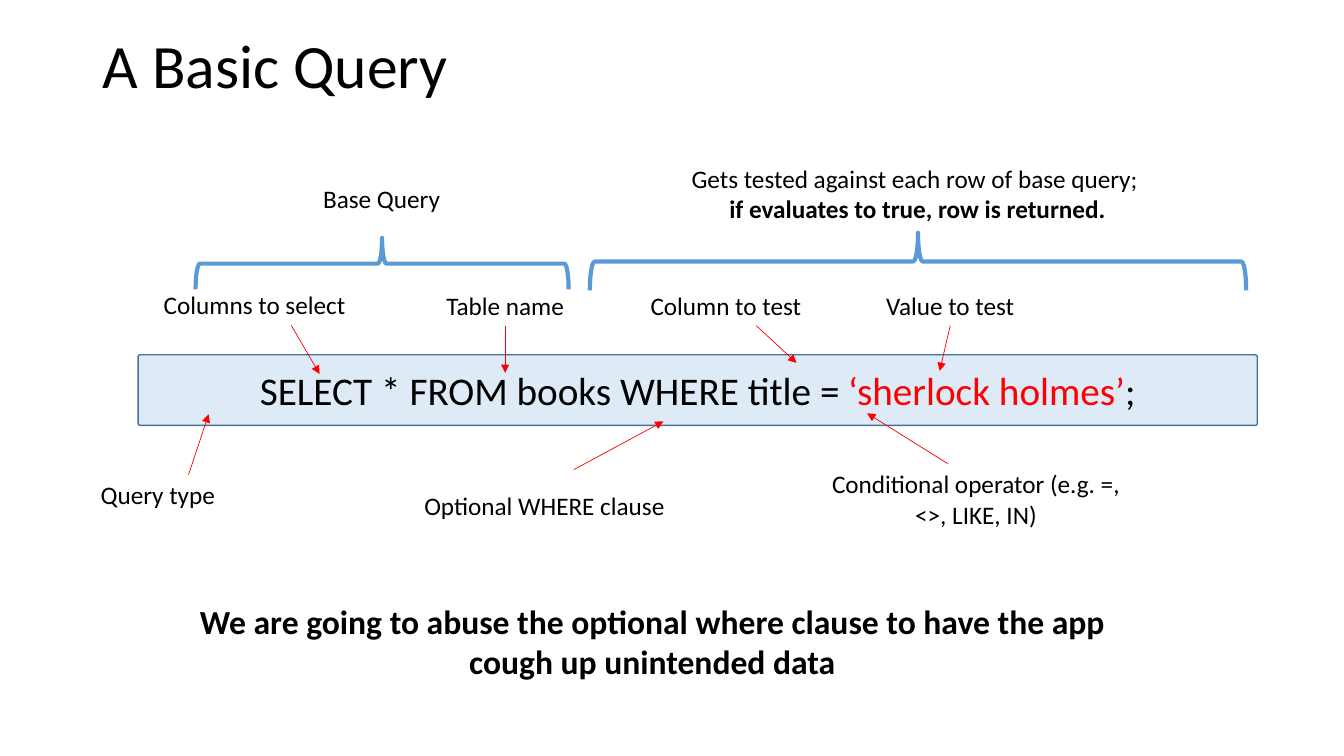
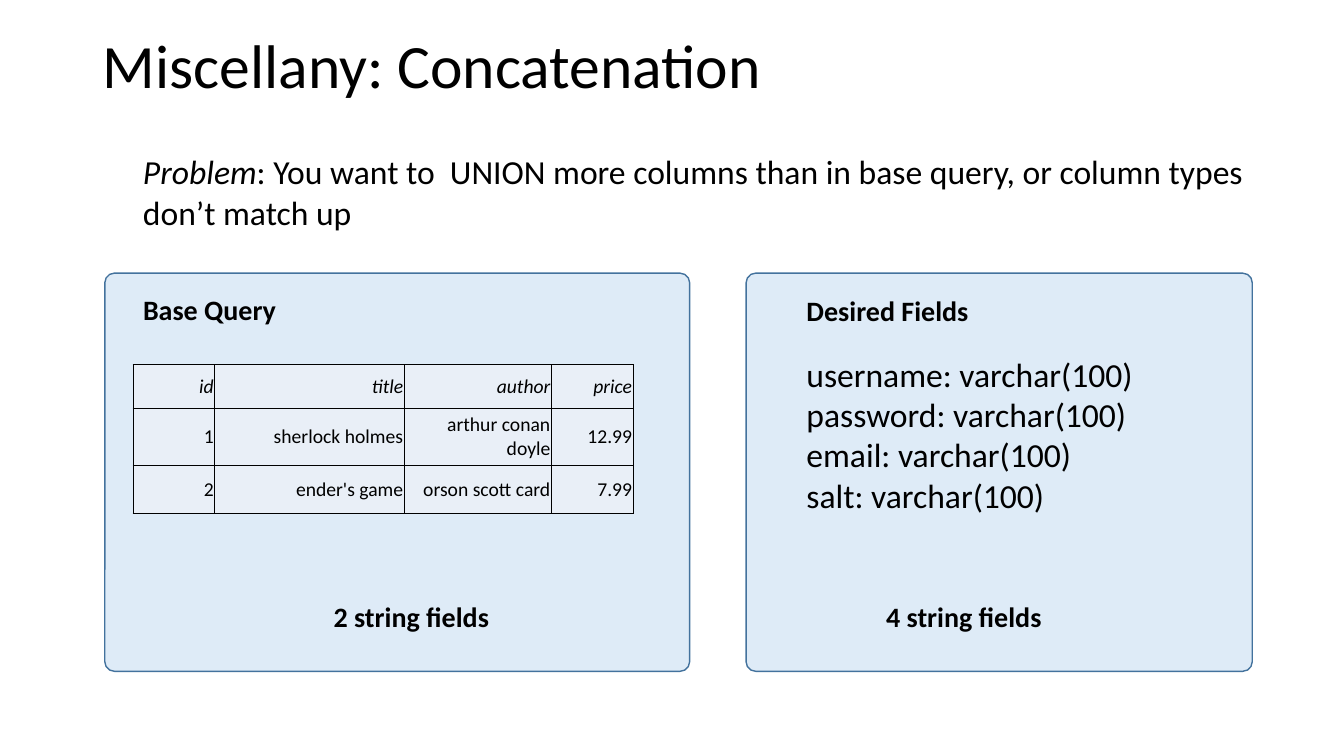
from lxml.etree import SubElement
from pptx import Presentation
from pptx.dml.color import RGBColor
from pptx.enum.shapes import MSO_CONNECTOR, MSO_SHAPE
from pptx.enum.text import MSO_ANCHOR as Anchor, MSO_AUTO_SIZE as AutoSize, PP_ALIGN as Align
from pptx.oxml.ns import qn
from pptx.util import Inches, Pt

FONT = "Calibri"
COLORS = {
    "text": "000000",
    "accent": "FF0000",
    "brace": "5B9BD5",
    "panel": "DEEBF7",
    "outline": "43729D",
    "cell": "E9EFF7",
}


def color(name):
    """Return the named colour."""
    return RGBColor.from_string(COLORS[name])


def style_span(span, size, bold=False, italic=False, ink="text"):
    """Format one run."""
    span.font.name, span.font.size = FONT, Pt(size)
    span.font.bold, span.font.italic = bold, italic
    span.font.color.rgb = color(ink)


def write(frame, text, size, align=Align.LEFT, **look):
    """Fill a text frame with evenly formatted paragraphs."""
    frame.text = text
    frame.word_wrap = True
    for para in frame.paragraphs:
        para.alignment = align
        for span in para.runs:
            style_span(span, size, **look)


def add_span(para, text, size, **look):
    """Append a differently formatted run to a paragraph."""
    span = para.add_run()
    span.text = text
    style_span(span, size, **look)


def add_text(page, place, text, size, align=Align.CENTER, **look):
    """Add a text box that fits its text."""
    box = page.shapes.add_textbox(*map(Inches, place))
    write(box.text_frame, text, size, align, **look)
    box.text_frame.auto_size = AutoSize.SHAPE_TO_FIT_TEXT
    return box


def add_page(deck, title):
    """Add a title-only slide with the shared title style."""
    page = deck.slides.add_slide(deck.slide_layouts[5])
    heading = page.shapes.title
    heading.left, heading.top = Inches(0.92), Inches(0.28)
    heading.width, heading.height = Inches(11.5), Inches(0.8)
    write(heading.text_frame, title, 44)
    heading.text_frame.auto_size = AutoSize.NONE
    heading.text_frame.vertical_anchor = Anchor.MIDDLE
    heading.text_frame.paragraphs[0].line_spacing = 0.9
    return page


def add_panel(page, place, rounding):
    """Add a pale rounded panel."""
    panel = page.shapes.add_shape(MSO_SHAPE.ROUNDED_RECTANGLE, *map(Inches, place))
    panel.adjustments[0] = rounding
    panel.shadow.inherit = False
    panel.fill.solid()
    panel.fill.fore_color.rgb = color("panel")
    panel.line.color.rgb = color("outline")
    panel.line.width = Pt(1)
    return panel


def add_brace(page, left, top, width, height):
    """Add a brace that opens downwards over the given area."""
    brace = page.shapes.add_shape(
        MSO_SHAPE.RIGHT_BRACE,
        Inches(left + (width - height) / 2),
        Inches(top + (height - width) / 2),
        Inches(height),
        Inches(width),
    )
    brace.rotation = 270
    brace.adjustments[0] = 0.083
    brace.shadow.inherit = False
    brace.fill.background()
    brace.line.color.rgb = color("brace")
    brace.line.width = Pt(3)


def add_arrow(page, start, end):
    """Add a thin arrow from a point, or from the bottom of a box."""
    joined = not isinstance(start, tuple)
    origin = (0, 0) if joined else start
    arrow = page.shapes.add_connector(MSO_CONNECTOR.STRAIGHT, *map(Inches, origin + end))
    if joined:
        arrow.begin_connect(start, 2)
    arrow.line.color.rgb = color("accent")
    arrow.line.width = Pt(0.5)
    SubElement(arrow.line._get_or_add_ln(), qn("a:tailEnd"), type="triangle")
    SubElement(arrow._element.spPr, qn("a:effectLst"))


def set_borders(cell, widths):
    """Draw the left, right, top and bottom borders of a cell."""
    properties = cell._tc.get_or_add_tcPr()
    for index, (side, width) in enumerate(zip("LRTB", widths)):
        line = properties.makeelement(qn(f"a:ln{side}"), {"w": str(Pt(width))})
        fill = SubElement(line, qn("a:solidFill"))
        SubElement(fill, qn("a:srgbClr"), val=COLORS["text"])
        properties.insert(index, line)


def add_table(page, place, columns, heights, rows):
    """Add a right-aligned table with an italic heading row."""
    table = page.shapes.add_table(len(rows), len(columns), *map(Inches, place)).table
    table.first_row = table.horz_banding = False
    for column, width in zip(table.columns, columns):
        column.width = Inches(width)
    for number, (row, height, values) in enumerate(zip(table.rows, heights, rows)):
        row.height = Inches(height)
        top, bottom = 0.5 if number == 1 else 0.96, 0.5 if number == 0 else 0.96
        for cell, value in zip(row.cells, values):
            write(cell.text_frame, value, 14, Align.RIGHT, italic=number == 0)
            cell.vertical_anchor = Anchor.MIDDLE
            cell.margin_left = cell.margin_right = Inches(0.01)
            cell.fill.solid()
            cell.fill.fore_color.rgb = color("cell")
            set_borders(cell, (0.96, 0.96, top, bottom))


def build_query_page(deck):
    """Build the annotated query."""
    page = add_page(deck, "A Basic Query")
    add_text(
        page,
        (1.47, 5.91, 10, 0.9),
        "We are going to abuse the optional where clause to have the app cough up unintended data",
        24,
        bold=True,
    )
    test = add_text(
        page,
        (6.14, 1.57, 5.92, 0.7),
        "Gets tested against each row of base query; \nif evaluates to true, row is returned.",
        18,
    )
    test.text_frame.paragraphs[1].runs[0].font.bold = True
    add_text(page, (2.92, 1.77, 1.73, 0.4), "Base Query", 18)
    add_brace(page, 5.85, 2.31, 6.51, 0.57)
    add_brace(page, 1.94, 2.36, 3.7, 0.51)

    query = add_panel(page, (1.37, 3.52, 11.1, 0.7), 0.028).text_frame
    write(query, "SELECT * FROM books WHERE title = ", 28, Align.CENTER)
    query.vertical_anchor = Anchor.MIDDLE
    add_span(query.paragraphs[0], "‘sherlock holmes’", 28, ink="accent")
    add_span(query.paragraphs[0], ";", 28)

    labels = [
        ("Query type", (0.9, 4.71, 1.66, 0.4), (1.87, 4.71), (2.07, 4.11)),
        ("Columns to select", (1.07, 2.82, 2.91, 0.4), (2.89, 3.23), (3.17, 3.71)),
        ("Table name", (4.14, 2.83, 1.74, 0.4), None, (5.01, 3.7)),
        ("Column to test", (6.07, 2.83, 2.26, 0.4), (7.5, 3.23), (7.9, 3.6)),
        ("Optional WHERE clause", (3.7, 4.82, 3.4, 0.4), (5.69, 4.66), (6.58, 4.18)),
        ("Value to test", (8.46, 2.83, 1.93, 0.4), None, (9.32, 3.68)),
        ("Conditional operator (e.g. =, <>, LIKE, IN)", (8.1, 4.6, 3.16, 0.7), (9.4, 4.6), (8.6, 4.1)),
    ]
    for text, place, start, end in labels:
        align = Align.LEFT if text == "Query type" else Align.CENTER
        box = add_text(page, place, text, 18, align)
        add_arrow(page, start or box, end)


def build_concatenation_page(deck):
    """Build the comparison of base query and desired fields."""
    page = add_page(deck, "Miscellany: Concatenation")
    problem = add_text(page, (1.32, 1.45, 11.26, 0.9), "Problem", 24, Align.LEFT, italic=True)
    add_span(
        problem.text_frame.paragraphs[0],
        ": You want to  UNION more columns than in base query, or column types don’t match up",
        24,
    )
    panels = [
        (1.04, 5.8, "Base Query", (1.32, 2.85), "2 string fields", 2.74),
        (7.4, 5.02, "Desired Fields", (7.9, 2.86), "4 string fields", 8.22),
    ]
    for left, width, heading, corner, count, count_left in panels:
        add_panel(page, (left, 2.71, width, 3.95), 0.024)
        add_text(page, corner + (2.68, 0.43), heading, 20, Align.LEFT, bold=True)
        add_text(page, (count_left, 5.9, 2.68, 0.43), count, 20, bold=True)
    add_table(
        page,
        (1.32, 3.62, 4.96, 1.39),
        (0.81, 1.88, 1.46, 0.81),
        (0.43, 0.48, 0.48),
        [
            ("id", "title", "author", "price"),
            ("1", "sherlock holmes", "arthur conan doyle", "12.99"),
            ("2", "ender's game", "orson scott card", "7.99"),
        ],
    )
    fields = ("username", "password", "email", "salt")
    listing = "\n".join(f"{field}: varchar(100)" for field in fields)
    add_text(page, (7.9, 3.46, 4.34, 1.7), listing, 24, Align.LEFT)


def main():
    """Build and save the deck."""
    deck = Presentation()
    deck.slide_width, deck.slide_height = Inches(13.33), Inches(7.5)
    build_query_page(deck)
    build_concatenation_page(deck)
    deck.save("out.pptx")


if __name__ == "__main__":
    main()
